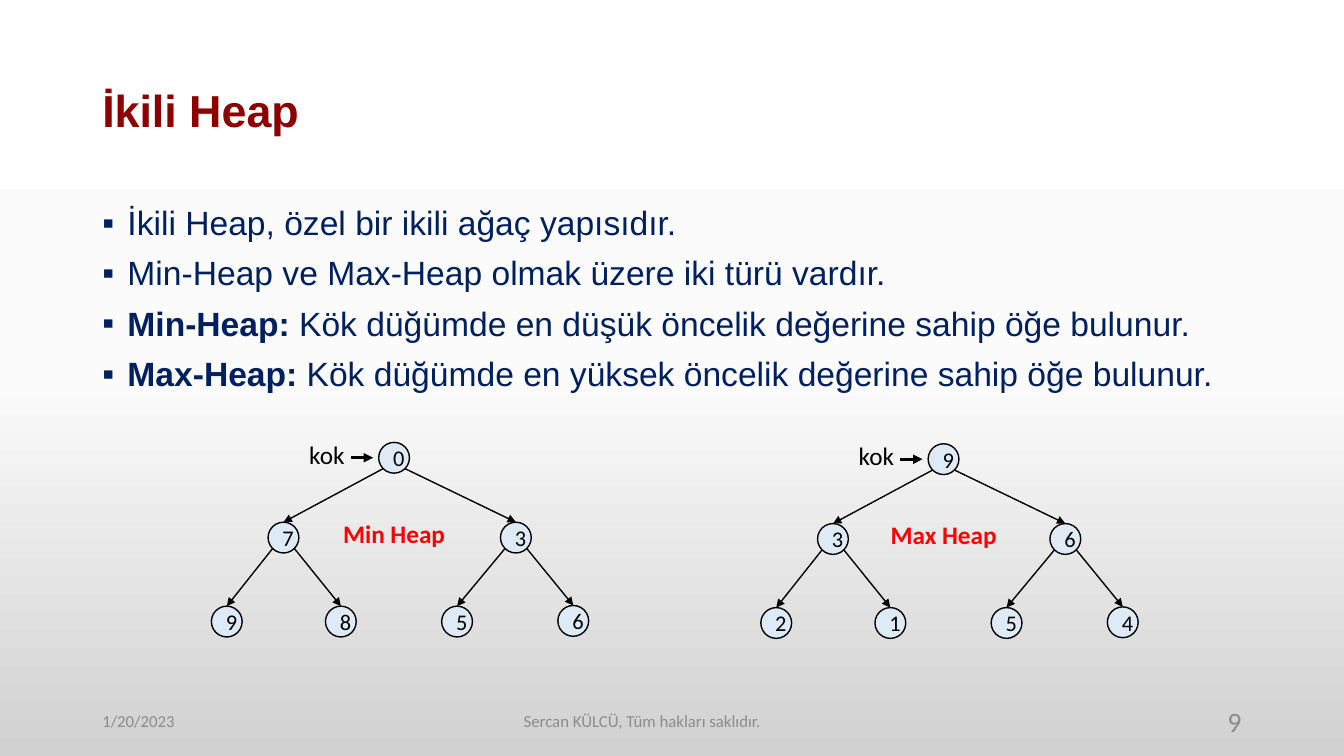
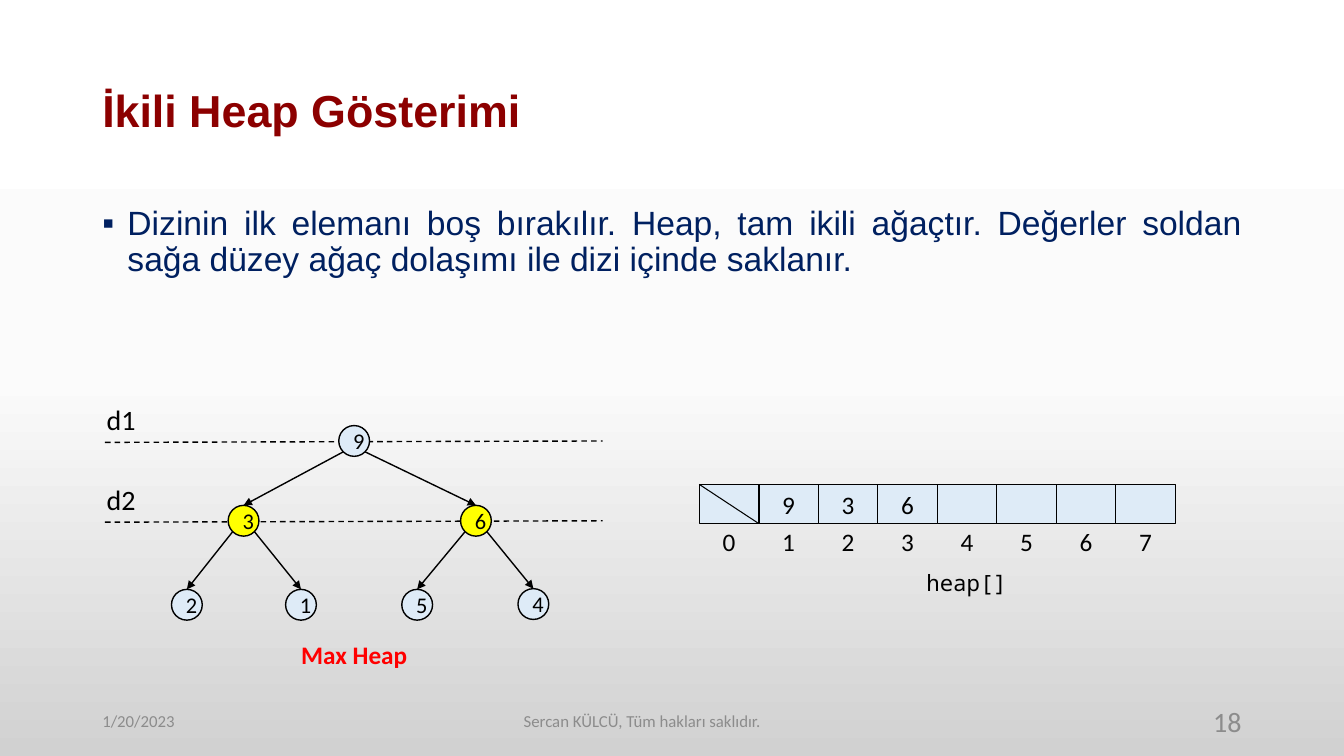
from copy import deepcopy

from lxml.etree import SubElement
from pptx import Presentation
from pptx.dml.color import RGBColor
from pptx.enum.dml import MSO_LINE
from pptx.enum.shapes import MSO_CONNECTOR, MSO_SHAPE
from pptx.enum.text import MSO_ANCHOR, PP_ALIGN
from pptx.oxml.ns import qn
from pptx.util import Pt

COLORS = {
    "title": "8C0000", "body": "002060", "footer": "8C8C8C",
    "ink": "000000", "node": "DEEBF7", "highlight": "FFFF00",
    "caption": "FF0000",
}
BACKGROUND_STOPS = [(0, "FFFFFF"), (0.5, "FBFBFB"), (1, "D1D1D1")]

# Text style: colour key and font values
STYLES = {
    "title": ("title", {"name": "Arial", "size": Pt(32), "bold": True}),
    "body": ("body", {"name": "Arial", "size": Pt(24)}),
    "footer": ("footer", {"name": "Calibri", "size": Pt(12)}),
    "page": ("footer", {"name": "Calibri", "size": Pt(20)}),
    "node": ("ink", {"name": "Calibri", "size": Pt(16)}),
    "label": ("ink", {"name": "Calibri", "size": Pt(18)}),
    "level": ("ink", {"name": "Calibri", "size": Pt(20)}),
    "code": ("ink", {"name": "Noto Sans Mono", "size": Pt(16)}),
    "caption": ("caption", {"name": "Calibri", "size": Pt(18), "bold": True}),
}

MARGIN, CONTENT_WIDTH = 66, 828
FOOTER_TOP, FOOTER_HEIGHT = 500.5, 29

NODE = 22
# Offsets from the root, in level order
NODE_OFFSETS = [(0, 0), (-79, 57), (87, 57),
                (-119.5, 117), (-38, 117), (45, 117), (128, 116.5)]
LEVEL_GAP = 57

CELL_WIDTH, CELL_HEIGHT = 42.5, 28


def rgb(key):
    return RGBColor.from_string(COLORS[key])


def set_values(target, values):
    for name, value in values.items():
        setattr(target, name, value)


def add_run(paragraph, text, style, **extra):
    color, values = STYLES[style]
    run = paragraph.add_run()
    run.text = text
    set_values(run.font, {**values, **extra})
    run.font.color.rgb = rgb(color)


def add_text(slide, box, text, style, align=PP_ALIGN.LEFT,
             anchor=MSO_ANCHOR.MIDDLE, wrap=True):
    """Add a one-paragraph text box and return the paragraph."""
    frame = slide.shapes.add_textbox(*map(Pt, box)).text_frame
    set_values(frame, {"word_wrap": wrap, "vertical_anchor": anchor})
    paragraph = frame.paragraphs[0]
    paragraph.alignment = align
    add_run(paragraph, text, style)
    return paragraph


def add_label(slide, center, top, text, style, width=40, height=29):
    """Add an unwrapped label centred on a horizontal position."""
    add_text(slide, (center - width / 2, top, width, height), text, style,
             PP_ALIGN.CENTER, MSO_ANCHOR.TOP, wrap=False)


def add_cell(slide, preset, box, text, style, fill="node"):
    """Add an outlined shape that holds one value."""
    shape = slide.shapes.add_shape(preset, *map(Pt, box))
    shape.shadow.inherit = False
    shape.fill.solid()
    shape.fill.fore_color.rgb = rgb(fill)
    shape.line.color.rgb = rgb("ink")
    shape.line.width = Pt(1)
    if text:
        paragraph = shape.text_frame.paragraphs[0]
        paragraph.alignment = PP_ALIGN.CENTER
        add_run(paragraph, text, style)


def add_line(slide, start, end, width=1, arrow=False, dash=None):
    connector = slide.shapes.add_connector(
        MSO_CONNECTOR.STRAIGHT, *map(Pt, (*start, *end)))
    connector.line.color.rgb = rgb("ink")
    set_values(connector.line, {"width": Pt(width), "dash_style": dash})
    properties = connector._element.spPr
    if arrow:
        SubElement(properties.find(qn("a:ln")), qn("a:tailEnd"), type="triangle")
    SubElement(properties, qn("a:effectLst"))


def add_bullets(slide, items):
    """Add the body text; each item is a bold lead and the rest."""
    box = (MARGIN, 144, CONTENT_WIDTH, 368.5)
    frame = slide.shapes.add_textbox(*map(Pt, box)).text_frame
    frame.word_wrap = True
    for index, (lead, rest) in enumerate(items):
        paragraph = frame.add_paragraph() if index else frame.paragraphs[0]
        set_values(paragraph, {
            "alignment": PP_ALIGN.JUSTIFY, "line_spacing": 0.9,
            "space_before": Pt(10 if index else 0)})
        properties = paragraph._p.get_or_add_pPr()
        properties.set("marL", str(Pt(18)))
        properties.set("indent", str(Pt(-18)))
        SubElement(properties, qn("a:buFont"), typeface="Arial")
        SubElement(properties, qn("a:buChar"), char="▪")
        if lead:
            add_run(paragraph, lead, "body", bold=True)
        add_run(paragraph, rest, "body")


def add_tree(slide, left, top, values, highlighted=()):
    """Draw a three-level binary tree given in level order."""
    places = [(left + dx, top + dy) for dx, dy in NODE_OFFSETS]
    for index, ((x, y), value) in enumerate(zip(places, values)):
        fill = "highlight" if value in highlighted else "node"
        add_cell(slide, MSO_SHAPE.OVAL, (x, y, NODE, NODE), value, "node", fill)
        if index:
            parent_x, parent_y = places[(index - 1) // 2]
            side = 0.15 if index % 2 else 0.85
            add_line(slide, (parent_x + side * NODE, parent_y + 0.85 * NODE),
                     (x + NODE / 2, y), arrow=True)


def add_root_pointer(slide, left, top):
    add_label(slide, left - 37, top - 6, "kok", "label")
    y = top + NODE / 2
    add_line(slide, (left - 20, y), (left - 4, y), width=2.25, arrow=True)


def add_level(slide, y, name):
    add_line(slide, (75, y), (430.5, y - 1), dash=MSO_LINE.DASH)
    add_label(slide, 86.5, y - 32, name, "level", 35, 32)


def add_array(slide, left, top, values):
    """Draw array cells with their indices; the first cell is crossed out."""
    for index, value in enumerate(values):
        x = left + index * CELL_WIDTH
        add_cell(slide, MSO_SHAPE.RECTANGLE, (x, top, CELL_WIDTH, CELL_HEIGHT),
                 value, "label")
        add_label(slide, x + CELL_WIDTH / 2, top + 26.5, str(index), "label", 24)
    add_line(slide, (left, top), (left + CELL_WIDTH, top + CELL_HEIGHT), width=0.75)
    add_label(slide, left + len(values) * CELL_WIDTH / 2 + 21, top + 57,
              "heap[]", "code", 73, 27)


def set_background(master):
    fill = master.background.fill
    fill.gradient()
    fill.gradient_angle = 270
    stop_list = next(master._element.iter(qn("a:gsLst")))
    stop_list.append(deepcopy(stop_list[0]))
    for stop, (position, color) in zip(fill.gradient_stops, BACKGROUND_STOPS):
        stop.position = position
        stop.color.rgb = RGBColor.from_string(color)


def add_slide(deck, title, page):
    slide = deck.slides.add_slide(deck.slide_layouts[6])
    heading = add_text(slide, (MARGIN, 29, CONTENT_WIDTH, 104), title, "title")
    heading.line_spacing = 0.9
    footers = [
        (MARGIN, 216, "1/20/2023", "footer", PP_ALIGN.LEFT),
        (186, 545.5, "Sercan KÜLCÜ, Tüm hakları saklıdır.", "footer",
         PP_ALIGN.CENTER),
        (678, 216, page, "page", PP_ALIGN.RIGHT),
    ]
    for left, width, text, style, align in footers:
        add_text(slide, (left, FOOTER_TOP, width, FOOTER_HEIGHT), text, style, align)
    return slide


def add_heap_types(deck):
    slide = add_slide(deck, "İkili Heap", "9")
    add_bullets(slide, [
        ("", "İkili Heap, özel bir ikili ağaç yapısıdır."),
        ("", "Min-Heap ve Max-Heap olmak üzere iki türü vardır."),
        ("Min-Heap:", " Kök düğümde en düşük öncelik değerine sahip öğe bulunur."),
        ("Max-Heap:", " Kök düğümde en yüksek öncelik değerine sahip öğe bulunur."),
    ])
    heaps = [(270.5, 316, "0739856", "Min Heap"),
             (663, 317, "9362154", "Max Heap")]
    for left, top, values, caption in heaps:
        add_tree(slide, left, top, values)
        add_root_pointer(slide, left, top)
        add_label(slide, left + NODE / 2, top + 50.5, caption, "caption", 90)


def add_heap_storage(deck):
    slide = add_slide(deck, "İkili Heap Gösterimi", "18")
    add_bullets(slide, [
        ("", "Dizinin ilk elemanı boş bırakılır. Heap, tam ikili ağaçtır. "
             "Değerler soldan sağa düzey ağaç dolaşımı ile dizi içinde saklanır."),
    ])
    root_left, root_top = 242, 304
    for depth, name in enumerate(["d1", "d2"]):
        add_level(slide, root_top + 12 + depth * LEVEL_GAP, name)
    add_tree(slide, root_left, root_top, "9362154", highlighted="36")
    add_label(slide, root_left + NODE / 2, root_top + 149, "Max Heap", "caption", 90)
    add_array(slide, 499.5, 346, ["", "9", "3", "6", "", "", "", ""])


def main():
    deck = Presentation()
    set_values(deck, {"slide_width": Pt(960), "slide_height": Pt(540)})
    set_background(deck.slide_master)
    add_heap_types(deck)
    add_heap_storage(deck)
    deck.save("out.pptx")


if __name__ == "__main__":
    main()
